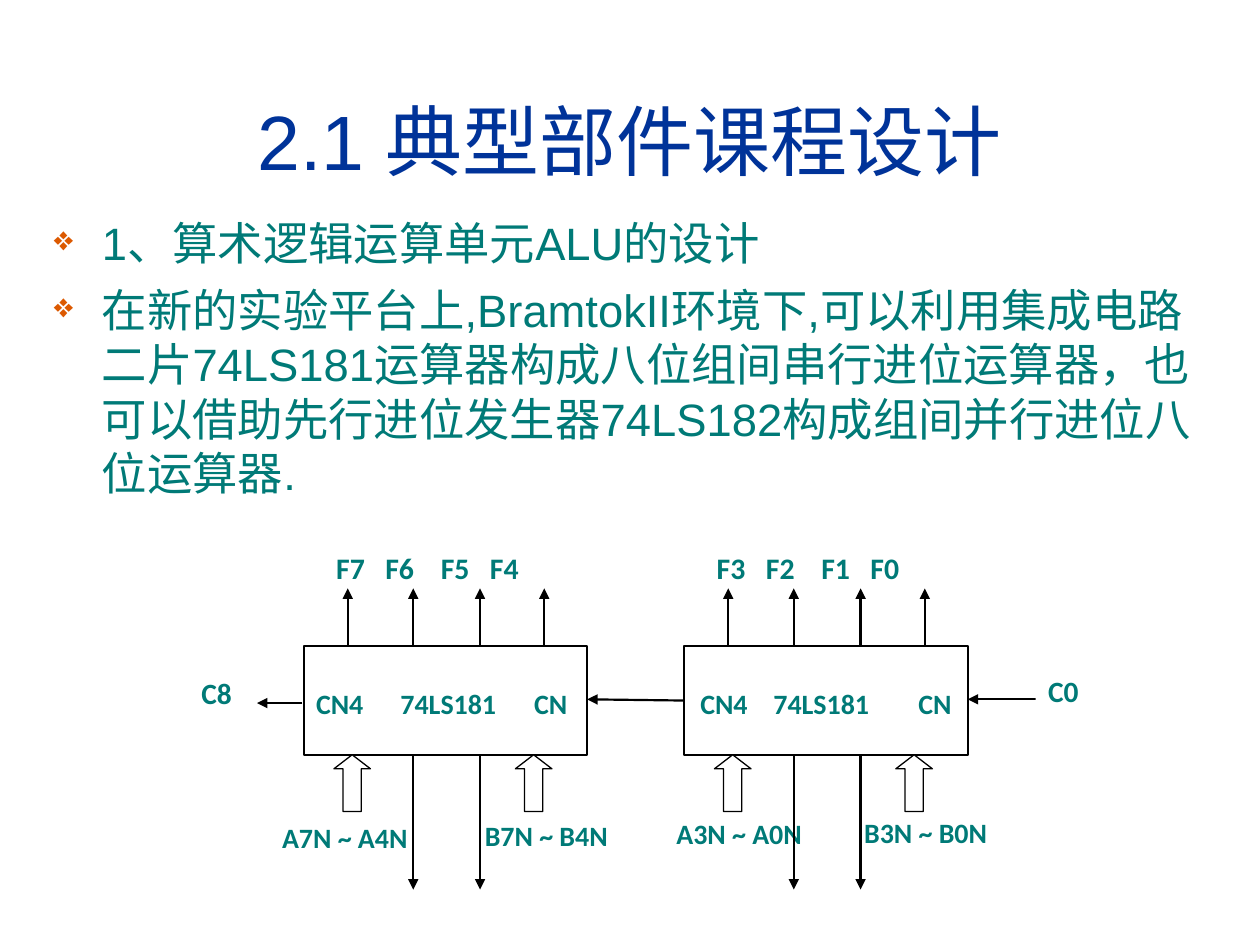
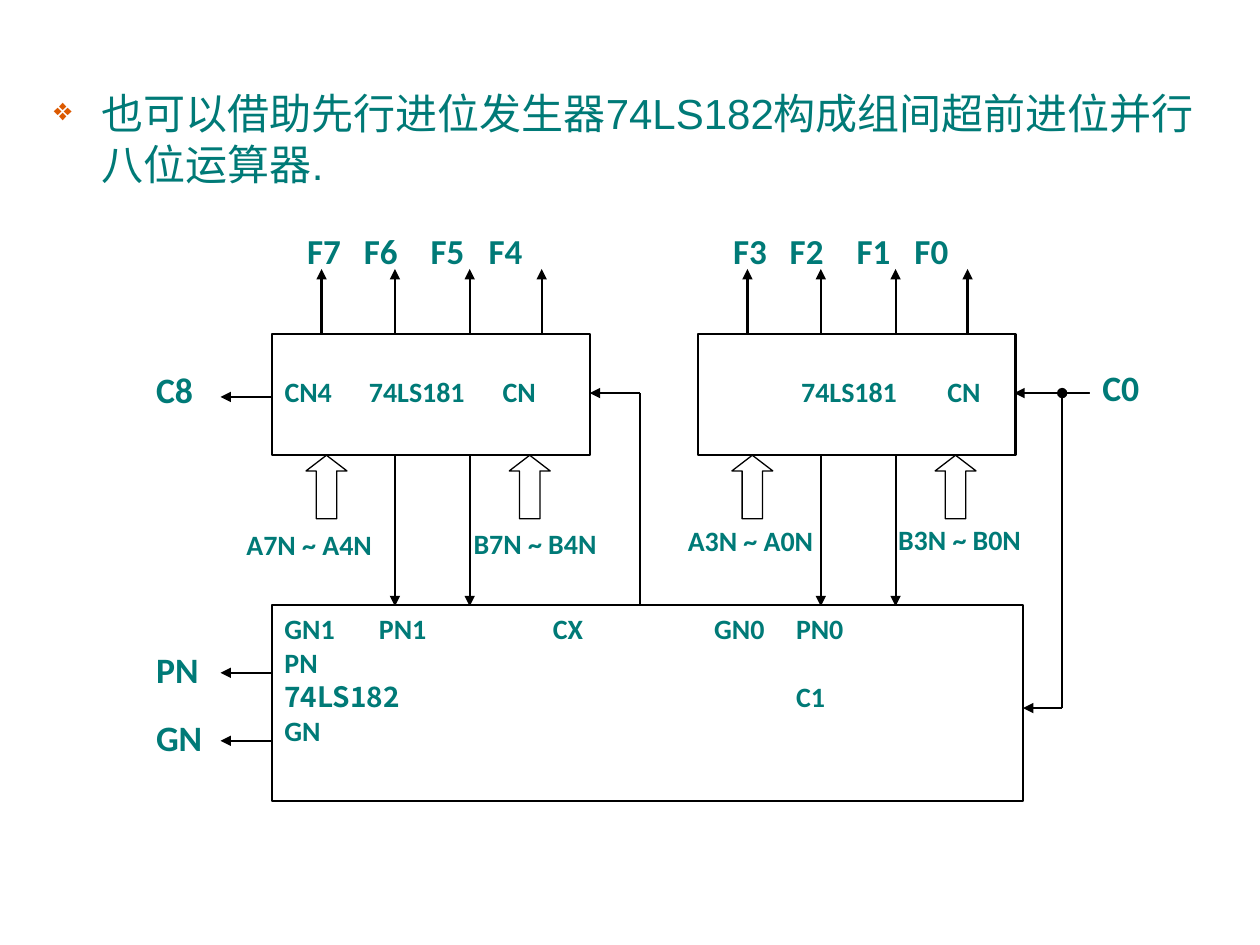
from lxml import etree
from pptx import Presentation
from pptx import util as u
from pptx.dml.color import RGBColor
from pptx.enum import shapes, text
from pptx.oxml.ns import qn

TITLE_BLUE, TEAL, ORANGE = "003399", "007A77", "DC5900"
BLACK, WHITE = "000000", "FFFFFF"
LATIN, LABEL_FONT, CHINESE = "Arial", "Calibri", "Noto Sans CJK SC"
TITLE_ONLY, BLANK = 5, 6
LEFT, WIDTH = 0.33, 9.34

# Chip geometry at scale 1, measured from the chip's top left corner
CHIP_WIDTH, CHIP_HEIGHT = 2.25, 0.86
PINS = (0.35, 0.87, 1.40, 1.91)
BUS_ARROWS = (0.24, 1.68)


def color(value):
    return RGBColor.from_string(value)


def add_xml(parent, tag, **attributes):
    return etree.SubElement(parent, qn(tag), attributes)


def place(shape, left, top, width, height):
    shape.left, shape.top = u.Inches(left), u.Inches(top)
    shape.width, shape.height = u.Inches(width), u.Inches(height)


def write(frame, lines, size, font=LABEL_FONT, fill=TEAL, bold=True, align="LEFT",
          spacing=None, before=0, top=0.05, wrap=False, anchor="TOP", tabs=()):
    """Each line is a string or a list of (string, font) spans."""
    frame.word_wrap = wrap
    frame.auto_size = text.MSO_AUTO_SIZE.NONE
    frame.vertical_anchor = text.MSO_ANCHOR[anchor]
    frame.margin_left = frame.margin_right = u.Inches(0.1)
    frame.margin_top, frame.margin_bottom = u.Inches(top), u.Inches(0.05)
    for number, line in enumerate(lines):
        para = frame.add_paragraph() if number else frame.paragraphs[0]
        para.alignment = text.PP_ALIGN[align]
        para.space_before = u.Pt(before if number else 0)
        if spacing:
            para.line_spacing = spacing
        if tabs:
            stops = add_xml(para._p.get_or_add_pPr(), "a:tabLst")
            for stop in tabs:
                add_xml(stops, "a:tab", pos=str(u.Inches(stop)), algn="l")
        for words, face in [(line, font)] if isinstance(line, str) else line:
            span = para.add_run()
            span.text = words
            span.font.size, span.font.bold = u.Pt(size), bold
            span.font.name = face
            span.font.color.rgb = color(fill)
            add_xml(span._r.get_or_add_rPr(), "a:ea", typeface=CHINESE)


def add_bullets(page, lines, top, height, size, spacing, before=0):
    box = page.shapes.add_textbox(0, 0, 0, 0)
    place(box, LEFT, top, WIDTH, height)
    write(box.text_frame, lines, size, font=LATIN, bold=False, wrap=True,
          spacing=u.Pt(spacing), before=before, top=0.09)
    for para in box.text_frame.paragraphs:
        props = para._p.get_or_add_pPr()
        props.set("marL", str(u.Inches(0.38)))
        props.set("indent", str(u.Inches(-0.38)))
        add_xml(add_xml(props, "a:buClr"), "a:srgbClr", val=ORANGE)
        add_xml(props, "a:buSzPct", val="75000")
        add_xml(props, "a:buChar", char="❖")


def add_label(page, words, left, top, width, height, size, **style):
    box = page.shapes.add_textbox(0, 0, 0, 0)
    place(box, left, top, width, height)
    box.fill.solid()
    box.fill.fore_color.rgb = color(WHITE)
    write(box.text_frame, [words], size, **style)


def add_outline(page, kind, left, top, width, height, line=1.25):
    shape = page.shapes.add_shape(shapes.MSO_SHAPE[kind], 0, 0, 0, 0)
    place(shape, left, top, width, height)
    shape.shadow.inherit = False
    shape.fill.solid()
    shape.fill.fore_color.rgb = color(WHITE)
    shape.line.color.rgb = color(BLACK)
    shape.line.width = u.Pt(line)
    return shape


def add_wire(page, x1, y1, x2, y2, head=None, tail="triangle"):
    wire = page.shapes.add_connector(shapes.MSO_CONNECTOR.STRAIGHT,
                                     *(u.Inches(value) for value in (x1, y1, x2, y2)))
    wire.line.color.rgb = color(BLACK)
    wire.line.width = u.Pt(1.25)
    line = wire.line._get_or_add_ln()
    if head:
        add_xml(line, "a:headEnd", type=head)
    if tail:
        add_xml(line, "a:tailEnd", type=tail)
    add_xml(wire._element.spPr, "a:effectLst")


def add_chip(page, left, top, scale, pin_names, chip_text, chip_tabs, buses,
             pin_size, pin_tabs, pin_spacing=None):
    """Draw a 74LS181 with output pins above and operand buses below.

    buses holds (name, left, top, width) at scale 1.
    """
    def x(offset):
        return left + offset * scale

    def y(offset):
        return top + offset * scale

    # Labels
    add_label(page, "\t".join(pin_names), x(0.16), y(-0.78), 2.03 * scale, 0.41 * scale,
              pin_size, tabs=pin_tabs, spacing=pin_spacing)
    for name, bus_left, bus_top, bus_width in buses:
        add_label(page, name, x(bus_left), y(bus_top), bus_width * scale, 0.41 * scale, 16)
    # Body
    body = add_outline(page, "RECTANGLE", left, top, CHIP_WIDTH * scale, CHIP_HEIGHT * scale)
    write(body.text_frame, [chip_text], 16, top=0.32, tabs=chip_tabs)
    # Output pins, operand arrows and carry outputs
    for pin in PINS:
        add_wire(page, x(pin), top, x(pin), y(-0.46))
    for offset in BUS_ARROWS:
        arrow = add_outline(page, "UP_ARROW", x(offset), y(CHIP_HEIGHT),
                            0.29 * scale, 0.45 * scale, line=0.75)
        arrow.adjustments[0], arrow.adjustments[1] = 0.5, 0.384
    for pin in PINS[1:3]:
        add_wire(page, x(pin), y(CHIP_HEIGHT), x(pin), y(CHIP_HEIGHT + 1.07))


def add_chip_pair(page, lefts, top, scale, low_text, low_tabs, **pins):
    add_chip(page, lefts[0], top, scale, ("F7", "F6", "F5", "F4"),
             "CN4\t74LS181\tCN", (0.67, 1.73),
             (("B7N ~ B4N", 1.34, 1.32, 1.24), ("A7N ~ A4N", -0.27, 1.33, 1.28)), **pins)
    add_chip(page, lefts[1], top, scale, ("F3", "F2", "F1", "F0"), low_text, low_tabs,
             (("B3N ~ B0N", 1.33, 1.29, 1.25), ("A3N ~ A0N", -0.16, 1.30, 1.20)), **pins)


def build_serial_carry(deck):
    page = deck.slides.add_slide(deck.slide_layouts[TITLE_ONLY])
    title = page.shapes.title
    place(title, LEFT, 0.67, WIDTH, 0.88)
    write(title.text_frame, ["2.1 典型部件课程设计"], 44, font=LATIN, fill=TITLE_BLUE,
          bold=False, align="CENTER", anchor="MIDDLE", wrap=True)
    add_bullets(page, [
        "1、算术逻辑运算单元ALU的设计",
        "在新的实验平台上,BramtokII环境下,可以利用集成电路二片74LS181运算器构成八位"
        "组间串行进位运算器，也可以借助先行进位发生器74LS182构成组间并行进位八位运算器.",
    ], 1.62, 2.44, 25.9, spacing=31.1, before=7)

    add_chip_pair(page, (2.41, 5.43), 5.13, 1, "\tCN4\t74LS181\tCN", (0.03, 0.61, 1.76),
                  pin_size=17, pin_tabs=(0.39, 0.83, 1.22), pin_spacing=0.9)
    # Carry chain
    add_wire(page, 8.34, 5.55, 7.68, 5.55)
    add_wire(page, 5.43, 5.56, 4.66, 5.55)
    add_wire(page, 2.40, 5.58, 2.04, 5.58)
    add_label(page, "C8", 1.50, 5.36, 0.54, 0.41, 16.8, spacing=0.8)
    add_label(page, "C0", 8.22, 5.35, 0.56, 0.41, 16.8, spacing=0.8)


def build_lookahead_carry(deck):
    page = deck.slides.add_slide(deck.slide_layouts[BLANK])
    add_bullets(page, ["也可以借助先行进位发生器74LS182构成组间超前进位并行八位运算器."],
                0.60, 6.07, 24, spacing=29.1)

    add_chip_pair(page, (2.16, 5.54), 2.65, 1.12, "\t74LS181\tCN", (0.72, 1.88),
                  pin_size=20, pin_tabs=(0.45, 0.98, 1.44))
    # Carry generator
    generator = add_outline(page, "RECTANGLE", 2.16, 4.80, 5.96, 1.56)
    write(generator.text_frame, [
        "GN1\tPN1\tCX\tGN0\tPN0",
        "PN",
        [("74LS182", CHINESE), ("\t\t\tC1", LABEL_FONT)],
        "GN",
    ], 16, spacing=u.Pt(19.5), tabs=(0.75, 2.13, 3.41, 4.06))
    set_tabs = generator.text_frame.paragraphs[2]._p.pPr.find(qn("a:tabLst"))
    set_tabs[2].set("pos", str(u.Inches(3.16)))
    # Carry in, with a branch to the generator
    add_wire(page, 8.79, 3.12, 8.05, 3.12)
    add_wire(page, 8.43, 3.12, 8.43, 5.62, head="oval", tail=None)
    add_wire(page, 8.43, 5.62, 8.12, 5.62)
    # Carry from the generator to the high chip
    add_wire(page, 5.08, 4.80, 5.08, 3.12, tail=None)
    add_wire(page, 5.08, 3.12, 4.68, 3.12)
    # Outputs on the left
    for name, wire_y, label_top in (("C8", 3.15, 2.91), ("PN", 5.34, 5.13), ("GN", 5.88, 5.67)):
        add_label(page, name, 1.14, label_top, 0.60, 0.46, 20.4, spacing=0.9)
        add_wire(page, 2.16, wire_y, 1.75, wire_y)
    add_label(page, "C0", 8.65, 2.89, 0.63, 0.46, 20.4, spacing=0.9)


def main():
    deck = Presentation()
    deck.slide_width, deck.slide_height = u.Inches(10), u.Inches(7.5)
    build_serial_carry(deck)
    build_lookahead_carry(deck)
    deck.save("out.pptx")


if __name__ == "__main__":
    main()
